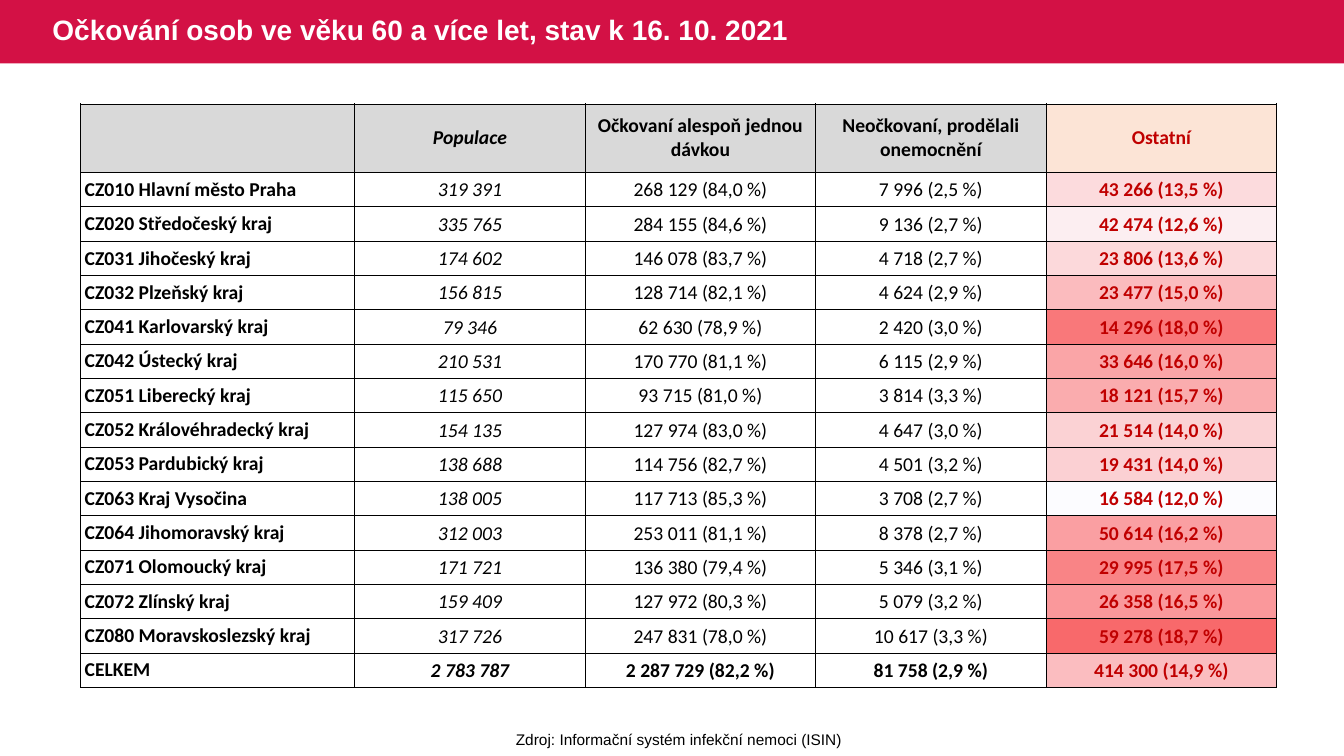
from dataclasses import dataclass
from math import ceil

from lxml import etree
from pptx import Presentation
from pptx.dml.color import RGBColor
from pptx.enum.shapes import MSO_SHAPE
from pptx.enum.text import MSO_ANCHOR, MSO_AUTO_SIZE, PP_ALIGN
from pptx.oxml.ns import qn
from pptx.util import Inches, Pt

LEFT, CENTER = PP_ALIGN.LEFT, PP_ALIGN.CENTER
MIDDLE = MSO_ANCHOR.MIDDLE
FIXED, GROW = MSO_AUTO_SIZE.NONE, MSO_AUTO_SIZE.SHAPE_TO_FIT_TEXT
RECTANGLE = MSO_SHAPE.RECTANGLE
NO_STYLE = "{2D5ABB26-0587-4C30-8999-92F81FD0307C}"


@dataclass(frozen=True)
class Theme:
    """Colours, fonts and type sizes of the slide."""
    band: str = "D31145"
    on_band: str = "FFFFFF"
    ink: str = "000000"
    alert: str = "C00000"
    header: str = "D9D9D9"
    alert_header: str = "FCE4D6"
    heat_low: str = "FCFCFF"
    heat_high: str = "F8696B"
    heading_font: str = "Arial"
    table_font: str = "Calibri"
    title_size: int = 20
    table_size: int = 14
    source_size: int = 11
    rule_width: float = 0.5


@dataclass(frozen=True)
class Box:
    """A rectangle on the slide, in inches."""
    left: float
    top: float
    width: float
    height: float

    def emu(self):
        """Return the rectangle as python-pptx lengths."""
        return [Inches(v) for v in (self.left, self.top, self.width, self.height)]


THEME = Theme()
SLIDE_WIDTH, SLIDE_HEIGHT = 13.33, 7.5
HEADER_ROWS = 2  # the header is as tall as two region rows
COLUMN_SHARES = (0.2292, 0.1927, 0.1927, 0.1927, 0.1927)

TITLE = "Očkování osob ve věku 60 a více let, stav k 16. 10. 2021"
SOURCE = "Zdroj: Informační systém infekční nemoci (ISIN)"
HEADINGS = ("", "Populace", "Očkovaní alespoň jednou dávkou",
            "Neočkovaní, prodělali onemocnění", "Ostatní")
REGIONS = [
    ("CZ010 Hlavní město Praha", "319 391", "268 129 (84,0 %)", "7 996 (2,5 %)", "43 266 (13,5 %)"),
    ("CZ020 Středočeský kraj", "335 765", "284 155 (84,6 %)", "9 136 (2,7 %)", "42 474 (12,6 %)"),
    ("CZ031 Jihočeský kraj", "174 602", "146 078 (83,7 %)", "4 718 (2,7 %)", "23 806 (13,6 %)"),
    ("CZ032 Plzeňský kraj", "156 815", "128 714 (82,1 %)", "4 624 (2,9 %)", "23 477 (15,0 %)"),
    ("CZ041 Karlovarský kraj", "79 346", "62 630 (78,9 %)", "2 420 (3,0 %)", "14 296 (18,0 %)"),
    ("CZ042 Ústecký kraj", "210 531", "170 770 (81,1 %)", "6 115 (2,9 %)", "33 646 (16,0 %)"),
    ("CZ051 Liberecký kraj", "115 650", "93 715 (81,0 %)", "3 814 (3,3 %)", "18 121 (15,7 %)"),
    ("CZ052 Královéhradecký kraj", "154 135", "127 974 (83,0 %)", "4 647 (3,0 %)", "21 514 (14,0 %)"),
    ("CZ053 Pardubický kraj", "138 688", "114 756 (82,7 %)", "4 501 (3,2 %)", "19 431 (14,0 %)"),
    ("CZ063 Kraj Vysočina", "138 005", "117 713 (85,3 %)", "3 708 (2,7 %)", "16 584 (12,0 %)"),
    ("CZ064 Jihomoravský kraj", "312 003", "253 011 (81,1 %)", "8 378 (2,7 %)", "50 614 (16,2 %)"),
    ("CZ071 Olomoucký kraj", "171 721", "136 380 (79,4 %)", "5 346 (3,1 %)", "29 995 (17,5 %)"),
    ("CZ072 Zlínský kraj", "159 409", "127 972 (80,3 %)", "5 079 (3,2 %)", "26 358 (16,5 %)"),
    ("CZ080 Moravskoslezský kraj", "317 726", "247 831 (78,0 %)", "10 617 (3,3 %)", "59 278 (18,7 %)"),
    ("CELKEM", "2 783 787", "2 287 729 (82,2 %)", "81 758 (2,9 %)", "414 300 (14,9 %)"),
]


def apply(target, values):
    """Set every attribute named in values on target."""
    for name, value in values.items():
        setattr(target, name, value)


def paint(part, colour):
    """Fill a shape or cell with one solid colour."""
    part.fill.solid()
    part.fill.fore_color.rgb = RGBColor.from_string(colour)


def write(frame, text, align, font, size, colour, **emphasis):
    """Put one formatted paragraph into a text frame and return it."""
    paragraph = frame.paragraphs[0]
    paragraph.alignment = align
    run = paragraph.add_run()
    run.text = text
    apply(run.font, {"name": font, "size": Pt(size), **emphasis})
    run.font.color.rgb = RGBColor.from_string(colour)
    return paragraph


def rule_cell(cell):
    """Draw a thin line on all four sides of a cell."""
    properties = cell._tc.get_or_add_tcPr()
    for place, side in enumerate(("lnL", "lnR", "lnT", "lnB")):
        line = etree.Element(qn(f"a:{side}"), w=str(Pt(THEME.rule_width)))
        solid = etree.SubElement(line, qn("a:solidFill"))
        etree.SubElement(solid, qn("a:srgbClr"), val=THEME.ink)
        properties.insert(place, line)


def add_plain_table(slide, box, column_widths, row_heights):
    """Add an unstyled table with the given column and row sizes."""
    table = slide.shapes.add_table(
        len(row_heights), len(column_widths), *box.emu()).table
    table._tbl.tblPr.find(qn("a:tableStyleId")).text = NO_STYLE
    apply(table, {"first_row": False, "horz_banding": False})
    for column, width in zip(table.columns, column_widths):
        column.width = Inches(width)
    for row, height in zip(table.rows, row_heights):
        row.height = Inches(height)
    return table


def heat_colours():
    """Grade each region by its share of people left unprotected."""
    def count(text):
        return int(text.split(" (")[0].replace(" ", ""))

    shares = [count(others) / count(population)
              for _, population, _, _, others in REGIONS]
    low, high = min(shares), max(shares)
    ends = list(zip(bytes.fromhex(THEME.heat_low), bytes.fromhex(THEME.heat_high)))
    return ["".join(f"{ceil(a + (b - a) * (share - low) / (high - low)):02X}"
                    for a, b in ends) for share in shares]


def add_title_band(slide, box):
    """Lay the coloured band behind the slide title."""
    title = slide.shapes.title
    band = slide.shapes.add_shape(RECTANGLE, *box.emu())
    band.shadow.inherit = False
    band.line.fill.background()
    paint(band, THEME.band)
    title._element.addprevious(band._element)
    left, top, width, height = Box(box.left + 0.42, box.top,
                                   box.width * 0.62, box.height).emu()
    apply(title, {"left": left, "top": top, "width": width, "height": height})
    apply(title.text_frame, {"vertical_anchor": MIDDLE, "word_wrap": True,
                             "auto_size": FIXED})
    paragraph = write(title.text_frame, TITLE, LEFT, THEME.heading_font,
                      THEME.title_size, THEME.on_band, bold=True)
    paragraph.line_spacing = 0.9


def add_heat_strip(slide, box):
    """Colour the last column, one shade per region."""
    shades = heat_colours()
    strip = add_plain_table(slide, box, [box.width],
                            [box.height / len(shades)] * len(shades))
    for cell, shade in zip(strip.iter_cells(), shades):
        apply(cell, {"margin_top": 0, "margin_bottom": 0})
        paint(cell, shade)


def add_region_table(slide, box):
    """Place the vaccination table over its heat strip."""
    row_height = box.height / (HEADER_ROWS + len(REGIONS))
    header_height = HEADER_ROWS * row_height
    widths = [share * box.width for share in COLUMN_SHARES]
    add_heat_strip(slide, Box(box.left + sum(widths[:-1]), box.top + header_height,
                              widths[-1], box.height - header_height))
    table = add_plain_table(slide, box, widths,
                            [header_height] + [row_height] * len(REGIONS))
    last_row, last_column = len(REGIONS), len(HEADINGS) - 1
    for r, entries in enumerate([HEADINGS, *REGIONS]):
        for c, text in enumerate(entries):
            cell = table.cell(r, c)
            outer, alert = r == 0 or c == 0, c == last_column
            side = Inches(0.04 if outer else 0.01)
            apply(cell, {"vertical_anchor": MIDDLE, "margin_left": side,
                         "margin_right": side, "margin_bottom": 0,
                         "margin_top": Inches(0 if outer else 0.01)})
            if r == 0:
                paint(cell, THEME.alert_header if alert else THEME.header)
            else:
                cell.fill.background()
            rule_cell(cell)
            if text:
                write(cell.text_frame, text, CENTER if c else LEFT,
                      THEME.table_font, THEME.table_size,
                      THEME.alert if alert else THEME.ink,
                      bold=outer or alert or r == last_row, italic=c == 1)


def add_source(slide, box):
    """Name the data source below the table."""
    source = slide.shapes.add_textbox(*box.emu()).text_frame
    apply(source, {"word_wrap": False, "auto_size": GROW})
    write(source, SOURCE, CENTER, THEME.heading_font, THEME.source_size, THEME.ink)


def main():
    """Build the slide and save it."""
    deck = Presentation()
    apply(deck, {"slide_width": Inches(SLIDE_WIDTH), "slide_height": Inches(SLIDE_HEIGHT)})
    slide = deck.slides.add_slide(deck.slide_layouts.get_by_name("Title Only"))
    add_title_band(slide, Box(0, 0, SLIDE_WIDTH, SLIDE_HEIGHT * 0.084))
    add_region_table(slide, Box(SLIDE_WIDTH * 0.06, 1.03, SLIDE_WIDTH * 0.89, 5.79))
    add_source(slide, Box(5.01, 7.19, 3.45, 0.29))
    deck.save("out.pptx")


main()
